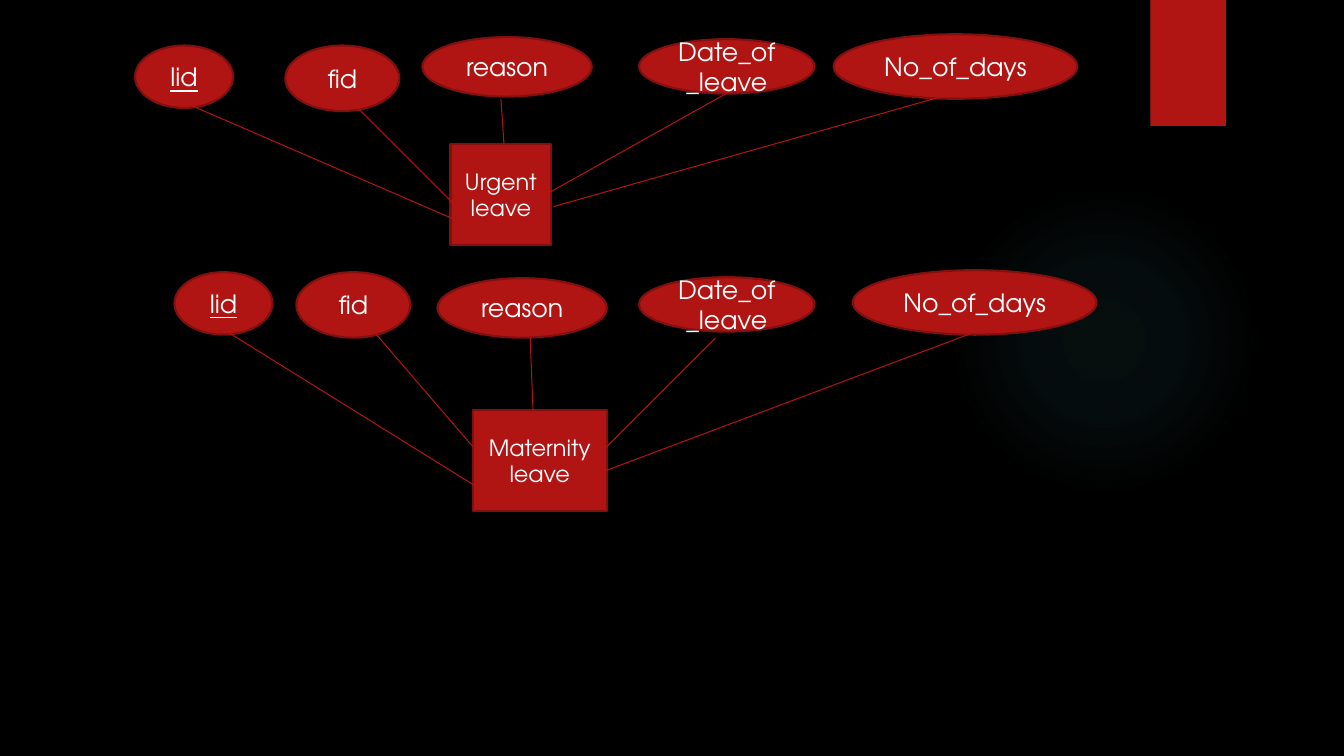
from lxml import etree
from pptx import Presentation
from pptx.dml.color import RGBColor
from pptx.enum import shapes, text
from pptx.oxml import ns
from pptx.util import Pt

COLOURS = {"background": "000000", "red": "B01513", "edge": "82100E",
           "text": "FFFFFF", "glow": "50B9C1"}
FONT = "TeX Gyre Adventor"
OVAL, RECT = shapes.MSO_SHAPE.OVAL, shapes.MSO_SHAPE.RECTANGLE

# Attribute name: width, height of its oval
ATTRIBUTES = {"lid": (70, 44.6), "fid": (81.4, 46.8), "reason": (121, 42.5),
              "Date_of_leave": (125.3, 38.9), "No_of_days": (174.2, 46.1)}
KEY = "lid"

# Ovals and links follow the order of ATTRIBUTES; all places are relative to the box
URGENT = {
    "name": "Urgent leave",
    "entity": (225.3, 78.5, 72, 72),
    "ovals": [(0, 8), (107.3, 8), (205.2, 2), (360, 3.5), (498.9, 0)],
    "links": [(37.4, 49.7, 230.4, 133.2), (156.2, 49.7, 228.2, 121.7),
              (261.3, 46.1, 263.5, 78.5), (423.3, 41.7, 295.9, 113),
              (578.1, 43.9, 298.8, 123.1)],
}
MATERNITY = {
    "name": "Maternity leave",
    "entity": (213.1, 100, 95.8, 72),
    "ovals": [(0, 1.4), (87.1, 1.4), (187.9, 5.7), (331.9, 5), (484.5, 0)],
    "links": [(38.8, 44.6, 216, 154.8), (142.5, 43.9, 213.1, 126),
              (254.1, 47.5, 256.3, 104.4), (386.6, 48.2, 308.1, 126.7),
              (568.8, 45.3, 306, 144)],
}


def colour(name):
    return RGBColor.from_string(COLOURS[name])


def add_plain(page, kind, box):
    shape = page.shapes.add_shape(kind, *(Pt(length) for length in box))
    shape.shadow.inherit = False
    shape.fill.solid()
    shape.fill.fore_color.rgb = colour("red")
    shape.line.fill.background()
    return shape


def add_node(page, kind, box, label, size, underline=False):
    """Add an outlined shape with a centred label."""
    node = add_plain(page, kind, box)
    node.line.color.rgb = colour("edge")
    node.line.width = Pt(1.5)
    frame = node.text_frame
    frame.word_wrap = True
    frame.vertical_anchor = text.MSO_ANCHOR.MIDDLE
    para = frame.paragraphs[0]
    para.alignment = text.PP_ALIGN.CENTER
    span = para.add_run()
    span.text = label
    span.font.color.rgb = colour("text")
    font_format = {"name": FONT, "size": Pt(size), "underline": underline or None}
    for attribute, value in font_format.items():
        setattr(span.font, attribute, value)


def add_link(page, ends):
    link = page.shapes.add_connector(shapes.MSO_CONNECTOR.STRAIGHT,
                                     *(Pt(length) for length in ends))
    link.line.color.rgb = colour("red")
    link.line.width = Pt(0.75)
    etree.SubElement(link._element.spPr, ns.qn("a:effectLst"))


def draw_decor(page, glow_box, tab_box):
    """Draw the faint round glow and the red tab at the top edge."""
    glow = add_plain(page, OVAL, glow_box)
    properties = glow._element.spPr
    gradient = etree.Element(ns.qn("a:gradFill"))
    stops = etree.SubElement(gradient, ns.qn("a:gsLst"))
    for position, alpha in ((0, 7), (36, 6), (69, 0)):
        stop = etree.SubElement(stops, ns.qn("a:gs"), pos=str(position * 1000))
        tint = etree.SubElement(stop, ns.qn("a:srgbClr"), val=COLOURS["glow"])
        etree.SubElement(tint, ns.qn("a:alpha"), val=str(alpha * 1000))
    circle = etree.SubElement(gradient, ns.qn("a:path"), path="circle")
    etree.SubElement(circle, ns.qn("a:fillToRect"),
                     {side: "50000" for side in "ltrb"})
    properties.replace(properties.find(ns.qn("a:solidFill")), gradient)
    add_plain(page, RECT, tab_box)


def draw_entity(page, box, diagram):
    """Draw an entity, its attributes and their links from the box's corner."""
    left, top = box
    for (name, size), (x, y) in zip(ATTRIBUTES.items(), diagram["ovals"]):
        add_node(page, OVAL, (left + x, top + y, *size), name, 18, name == KEY)
    x, y, width, height = diagram["entity"]
    add_node(page, RECT, (left + x, top + y, width, height), diagram["name"], 16)
    for x1, y1, x2, y2 in diagram["links"]:
        add_link(page, (left + x1, top + y1, left + x2, top + y2))


def main():
    deck = Presentation()
    deck.slide_width, deck.slide_height = Pt(960), Pt(540)
    page = deck.slides.add_slide(deck.slide_layouts[6])
    page.background.fill.solid()
    page.background.fill.fore_color.rgb = colour("background")
    draw_decor(page, (677.5, 131.8, 221.8, 221.8), (821.7, 0, 54, 90))
    draw_entity(page, (96.5, 24.5), URGENT)
    draw_entity(page, (124.6, 193), MATERNITY)
    deck.save("out.pptx")


if __name__ == "__main__":
    main()
